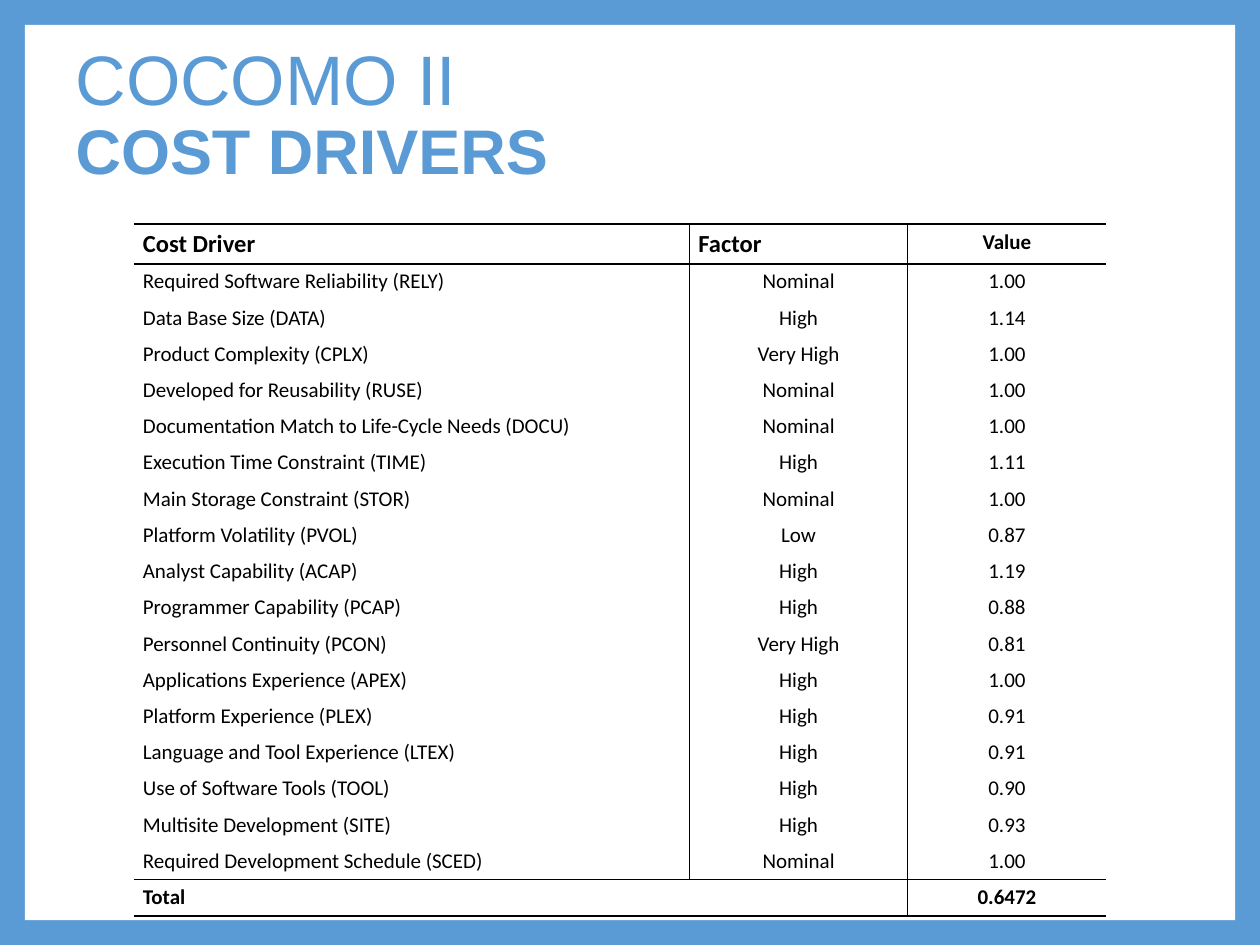
from dataclasses import dataclass

from lxml.etree import SubElement
from pptx import Presentation
from pptx.dml.color import RGBColor
from pptx.enum.shapes import MSO_SHAPE
from pptx.enum.text import MSO_ANCHOR as Anchor, MSO_AUTO_SIZE as AutoSize, PP_ALIGN as Align
from pptx.oxml.ns import qn
from pptx.util import Cm, Pt

BLUE, WHITE, BLACK = "5B9BD5", "FFFFFF", "000000"
COLUMN_WIDTHS = (11.2, 4.4, 4.0)
HEADER_HEIGHT, ROW_HEIGHT = 0.8, 0.73
THIN, THICK = 1, 1.5


@dataclass(frozen=True)
class Driver:
    name: str
    factor: str
    value: str


DRIVERS = (
    Driver("Required Software Reliability (RELY)", "Nominal", "1.00"),
    Driver("Data Base Size (DATA)", "High", "1.14"),
    Driver("Product Complexity (CPLX)", "Very High", "1.00"),
    Driver("Developed for Reusability (RUSE)", "Nominal", "1.00"),
    Driver("Documentation Match to Life-Cycle Needs (DOCU)", "Nominal", "1.00"),
    Driver("Execution Time Constraint (TIME)", "High", "1.11"),
    Driver("Main Storage Constraint (STOR)", "Nominal", "1.00"),
    Driver("Platform Volatility (PVOL)", "Low", "0.87"),
    Driver("Analyst Capability (ACAP)", "High", "1.19"),
    Driver("Programmer Capability (PCAP)", "High", "0.88"),
    Driver("Personnel Continuity (PCON)", "Very High", "0.81"),
    Driver("Applications Experience (APEX)", "High", "1.00"),
    Driver("Platform Experience (PLEX)", "High", "0.91"),
    Driver("Language and Tool Experience (LTEX)", "High", "0.91"),
    Driver("Use of Software Tools (TOOL)", "High", "0.90"),
    Driver("Multisite Development (SITE)", "High", "0.93"),
    Driver("Required Development Schedule (SCED)", "Nominal", "1.00"),
)


def rgb(color: str) -> RGBColor:
    return RGBColor.from_string(color)


def add_span(para, text: str, font: str, size: float, color: str, bold: bool = False) -> None:
    span = para.add_run()
    span.text = text
    span.font.name, span.font.size, span.font.bold = font, Pt(size), bold
    span.font.color.rgb = rgb(color)


def set_borders(cell, left: float, right: float, top: float, bottom: float) -> None:
    """Give each side its width in points; 0 leaves the side without a line."""
    properties = cell._tc.get_or_add_tcPr()
    for side, width in zip("LRTB", (left, right, top, bottom)):
        line = SubElement(properties, qn(f"a:ln{side}"), w=str(Pt(width)))
        if width:
            fill = SubElement(line, qn("a:solidFill"))
            SubElement(fill, qn("a:srgbClr"), val=BLACK)
        else:
            SubElement(line, qn("a:noFill"))


def draw_panel(page) -> None:
    panel = page.shapes.add_shape(MSO_SHAPE.RECTANGLE, Cm(0.5), Cm(0.5), Cm(24.4), Cm(18.05))
    panel.shadow.inherit = False
    panel.fill.solid()
    panel.fill.fore_color.rgb = rgb(WHITE)
    panel.line.fill.background()
    page.shapes._spTree.insert(2, panel._element)  # behind the title


def draw_title(page) -> None:
    title = page.shapes.title
    title.left, title.top, title.width, title.height = Cm(1.27), Cm(0.76), Cm(22.86), Cm(3.18)
    frame = title.text_frame
    frame.auto_size, frame.vertical_anchor = AutoSize.NONE, Anchor.MIDDLE
    para = frame.paragraphs[0]
    para.alignment, para.line_spacing = Align.LEFT, 0.9
    para.space_before = Pt(0)
    add_span(para, "COCOMO II", "Arial", 40, BLUE)
    para.add_line_break()
    add_span(para, "COST DRIVERS", "Arial", 36, BLUE, bold=True)


def draw_table(page) -> None:
    rows = [("Cost Driver", "Factor", "Value")]
    rows += [(driver.name, driver.factor, driver.value) for driver in DRIVERS]
    rows += [("Total", "", "0.6472")]
    last = len(rows) - 1
    # Widths of the horizontal rules, from the top edge to the bottom edge
    rules = [THICK, THICK] + [0] * (last - 2) + [THIN, THICK]

    table = page.shapes.add_table(
        len(rows), len(COLUMN_WIDTHS), Cm(2.7), Cm(4.52), Cm(sum(COLUMN_WIDTHS)),
        Cm(HEADER_HEIGHT + ROW_HEIGHT * last),
    ).table
    table.first_row = table.horz_banding = False
    for column, width in zip(table.columns, COLUMN_WIDTHS):
        column.width = Cm(width)

    for r, texts in enumerate(rows):
        table.rows[r].height = Cm(ROW_HEIGHT if r else HEADER_HEIGHT)
        for c, text in enumerate(texts):
            cell = table.cell(r, c)
            inner = THIN if r < last else 0  # the total spans two columns
            verticals = (0, inner, THIN, 0)
            set_borders(cell, verticals[c], verticals[c + 1], rules[r], rules[r + 1])
            cell.fill.background()
            cell.margin_left = cell.margin_right = Cm(0.18)
            cell.margin_top = cell.margin_bottom = Cm(0.1)
            middle = r == last or (r, c) == (0, 0)
            cell.vertical_anchor = Anchor.MIDDLE if middle else Anchor.TOP
            para = cell.text_frame.paragraphs[0]
            centred = c == 2 or (c == 1 and r > 0)
            para.alignment = Align.CENTER if centred else Align.LEFT
            if text:
                size = 14 if r == 0 and c < 2 else 12
                add_span(para, text, "Calibri", size, BLACK, bold=r in (0, last))
    table.cell(last, 0).merge(table.cell(last, 1))


def main() -> None:
    deck = Presentation()
    deck.slide_width, deck.slide_height = Cm(25.4), Cm(19.05)
    page = deck.slides.add_slide(deck.slide_layouts[5])
    page.background.fill.solid()
    page.background.fill.fore_color.rgb = rgb(BLUE)
    draw_panel(page)
    draw_title(page)
    draw_table(page)
    deck.save("out.pptx")


if __name__ == "__main__":
    main()
